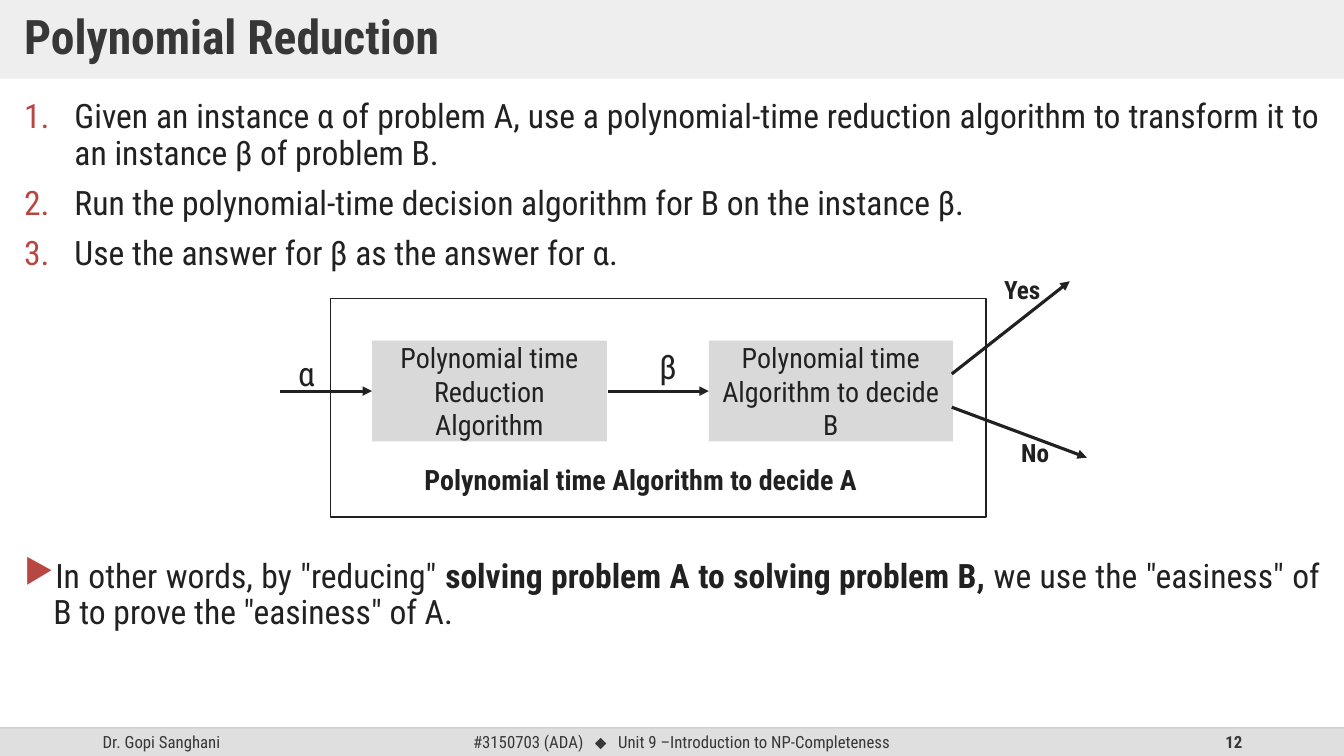
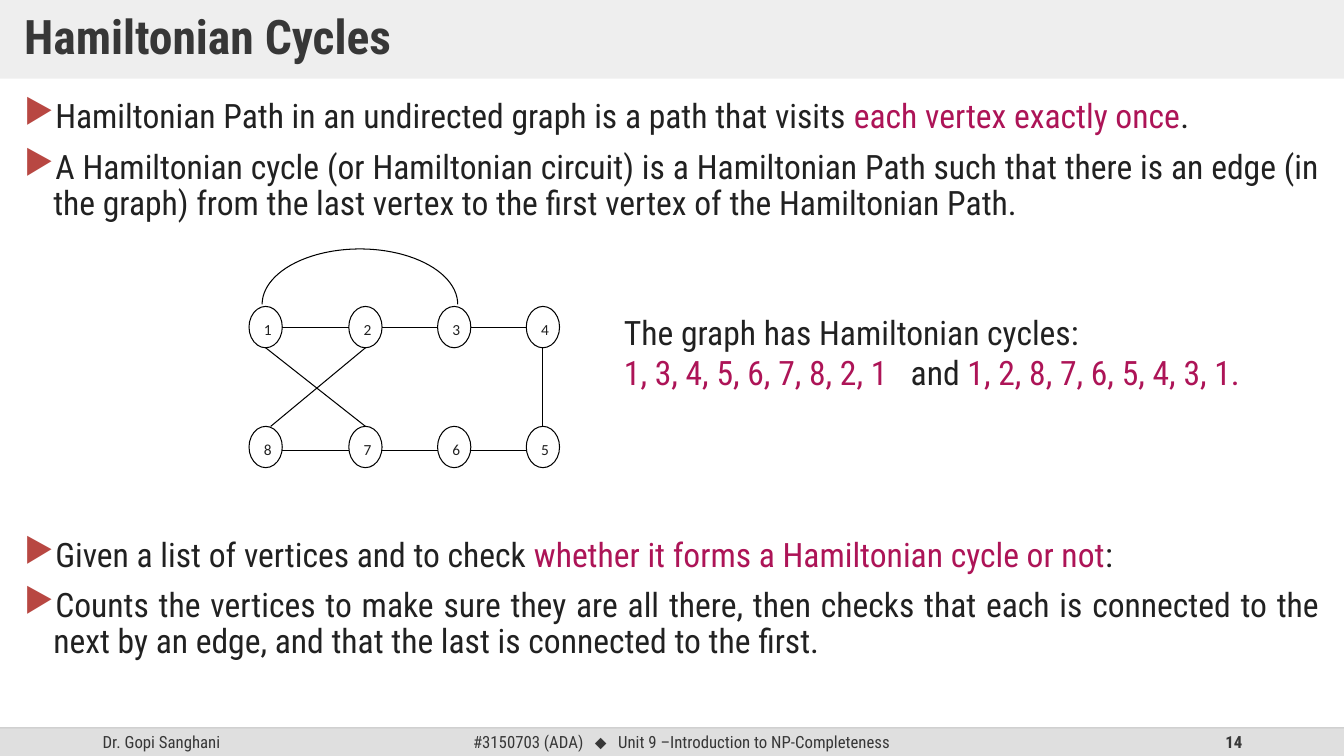
"""Build two lecture slides on polynomial reduction and Hamiltonian cycles."""
from dataclasses import dataclass

from pptx import Presentation
from pptx.dml.color import RGBColor
from pptx.enum import shapes, text
from pptx.oxml import ns, xmlchemy as xml
from pptx.util import Inches, Pt


@dataclass(frozen=True)
class Theme:
    """Colours, fonts and type sizes."""
    font: str = "Roboto Condensed"
    digit: str = "Calibri"
    mark: str = "Arial"
    ink: str = "212121"
    head: str = "373737"
    band: str = "DFDFDF"
    rule: str = "BFBFBF"
    box: str = "D9D9D9"
    white: str = "FFFFFF"
    black: str = "000000"
    red: str = "B84742"
    pink: str = "AD1457"
    title: int = 34
    body: int = 24
    step: int = 20
    tag: int = 18
    foot: int = 12
    node: int = 11


T = Theme()
SHAPE = shapes.MSO_SHAPE
ALIGN = text.PP_ALIGN
ANCHOR = text.MSO_ANCHOR
WIDE, HIGH = 13.33, 7.5
FOOT = 7.22
BODY = (0.14, 13.05)

AUTHOR = "Dr. Gopi Sanghani"
COURSE = [("#3150703 (ADA)",), (" ", "gap"), ("⬥", "mark"), (" ", "gap"),
          ("Unit 9 –Introduction to NP-Completeness",)]

STEPS = [
    [("Given an instance α of problem A, use a polynomial-time reduction "
      "algorithm to transform it to an instance β of problem B.",)],
    [("Run the polynomial-time decision algorithm for B on the instance β.",)],
    [("Use the answer for β as the answer for α.",)],
]
MORAL = [
    [('In other words, by "reducing" ',),
     ("solving problem A to solving problem B, ", "bold"),
     ('we use the "easiness" of B to prove the "easiness" of A.',)],
]
FRAME = (3.28, 2.96, 6.5, 2.17)
BOXES = [
    ("Polynomial time Reduction Algorithm", (3.69, 3.38, 2.33, 1)),
    ("Polynomial time Algorithm to decide B", (7.03, 3.38, 2.42, 1)),
]
ARROWS = [
    (2.78, 3.88, 3.69, 3.88),
    (6.03, 3.88, 7.03, 3.88),
    (9.44, 3.71, 10.61, 2.79),
    (9.44, 4.04, 10.78, 4.54),
]
TAGS = [
    (("α",), T.body, (2.86, 3.45, 0.33, 0.5)),
    (("β",), T.body, (6.44, 3.38, 0.25, 0.5)),
    (("Yes", "bold"), T.tag, (9.86, 2.67, 0.58, 0.4)),
    (("No", "bold"), T.tag, (10.03, 4.29, 0.58, 0.4)),
    (("Polynomial time Algorithm to decide A", "bold"), T.step,
     (4.11, 4.54, 4.79, 0.44)),
]

FACTS = [
    [("Hamiltonian Path in an undirected graph is a path that visits ",),
     ("each vertex exactly once", "hot"), (".",)],
    [("A Hamiltonian cycle (or Hamiltonian circuit) is a Hamiltonian Path "
      "such that there is an edge (in the graph) from the last vertex to the "
      "first vertex of the Hamiltonian Path.",)],
]
CHECKS = [
    [("Given a list of vertices and to check ",),
     ("whether it forms a Hamiltonian cycle or not", "hot"), (":",)],
    [("Counts the vertices to make sure they are all there, then checks that "
      "each is connected to the next by an edge, and that the last is "
      "connected to the first.",)],
]
CYCLES = [
    [("The graph has Hamiltonian cycles:",)],
    [("1, 3, 4, 5, 6, 7, 8, 2, 1", "hot"), (" ", "gap"), ("and ",),
     ("1, 2, 8, 7, 6, 5, 4, 3, 1.", "hot")],
]
COLS = [2.47, 3.46, 4.34, 5.22]
ROWS = [(3.04, 3.25, "1234"), (4.23, 4.47, "8765")]
NODE = (0.33, 0.41)
DROPS = [(3, 3, 0), (0, 1, 0), (1, 0, 0.05)]
ARC = (2.6, 2.47, 1.94, 1.1)


def rgb(tone):
    """Turn a hex string into a colour."""
    return RGBColor.from_string(tone)


def fade(item, share):
    """Set the opacity, in percent, of the first colour of a shape."""
    tone = item.element.find(".//" + ns.qn("a:srgbClr"))
    add(tone, "a:alpha", val=share * 1000)


def add(node, tag, **attrs):
    """Append a child element with attributes."""
    kid = xml.OxmlElement(tag)
    for key, val in attrs.items():
        kid.set(key, str(val))
    node.append(kid)
    return kid


def style(run, size, kind="", tone=T.ink, font=T.font):
    """Format one run by its kind."""
    run.font.size = Pt(size)
    run.font.name = T.mark if kind == "mark" else font
    run.font.color.rgb = rgb(T.pink if kind == "hot" else tone)
    run.font.bold = kind == "bold"
    if kind == "gap":
        run.font.element.set("spc", str(size * 45)) if hasattr(
            run.font, "element") else run._r.get_or_add_rPr().set(
            "spc", str(size * 45))


def write(frame, paras, size, align=ALIGN.LEFT, **look):
    """Fill a text frame with paragraphs of styled runs."""
    frame.word_wrap = True
    for i, parts in enumerate(paras):
        para = frame.add_paragraph() if i else frame.paragraphs[0]
        para.alignment = align
        for words, *kind in parts:
            run = para.add_run()
            run.text = words
            style(run, size, *kind, **look)


def label(slide, at, paras, size, align=ALIGN.LEFT, **look):
    """Add a text box."""
    box = slide.shapes.add_textbox(*map(Inches, at))
    write(box.text_frame, paras, size, align, **look)
    return box


def shape(slide, kind, at, fill=None, line=None, width=1):
    """Add a flat preset shape."""
    item = slide.shapes.add_shape(kind, *map(Inches, at))
    item.shadow.inherit = False
    if fill:
        item.fill.solid()
        item.fill.fore_color.rgb = rgb(fill)
    else:
        item.fill.background()
    if line:
        item.line.color.rgb = rgb(line)
        item.line.width = Pt(width)
    else:
        item.line.fill.background()
    return item


def link(slide, ends, tone, width, arrow=False):
    """Add a straight line, with an arrowhead if asked."""
    item = slide.shapes.add_connector(
        shapes.MSO_CONNECTOR.STRAIGHT, *map(Inches, ends))
    item.line.color.rgb = rgb(tone)
    item.line.width = Pt(width)
    if arrow:
        add(item.line.fill and item.element.spPr.find(ns.qn("a:ln")),
            "a:tailEnd", type="triangle")
    add(item.element.spPr, "a:effectLst")
    return item


def points(slide, top, high, paras, count=False):
    """Add a numbered or bulleted block of body text."""
    left, wide = BODY
    box = label(slide, (left, top, wide, high), paras, T.body, ALIGN.JUSTIFY)
    dent = Inches(0.5 if count else 0.29)
    for para in box.text_frame.paragraphs:
        para.line_spacing = 0.9
        para.space_before = Pt(10)
        prop = para._p.get_or_add_pPr()
        prop.set("marL", str(dent))
        prop.set("indent", str(-dent))
        add(add(prop, "a:buClr"), "a:srgbClr", val=T.red)
        if count:
            add(prop, "a:buAutoNum", type="arabicPeriod")
        else:
            add(prop, "a:buChar", char="▶")


def start(deck, name, page):
    """Add a slide with its title band and footer."""
    slide = deck.slides.add_slide(deck.slide_layouts[5])
    head = slide.shapes.title
    head.left, head.top, head.width, head.height = map(
        Inches, (0, 0, WIDE, 0.78))
    head.fill.solid()
    head.fill.fore_color.rgb = rgb(T.band)
    fade(head, 50)
    frame = head.text_frame
    write(frame, [[(name, "bold")]], T.title, tone=T.head)
    frame.paragraphs[0].line_spacing = 0.9
    frame.auto_size = text.MSO_AUTO_SIZE.NONE
    frame.vertical_anchor = ANCHOR.MIDDLE
    frame.margin_left = frame.margin_right = Inches(0.24)
    frame.margin_top = frame.margin_bottom = Inches(0.12)

    high = HIGH - FOOT
    shape(slide, SHAPE.RECTANGLE, (0, FOOT, WIDE, high), T.band)
    for left, wide, parts, align in [
            (0.92, 3, [(AUTHOR,)], ALIGN.LEFT),
            (4.42, 4.68, COURSE, ALIGN.CENTER),
            (9.42, 3, [(str(page), "bold")], ALIGN.RIGHT)]:
        box = label(slide, (left, FOOT, wide, high), [parts], T.foot, align,
                    tone=T.head)
        box.text_frame.vertical_anchor = ANCHOR.MIDDLE
    fade(link(slide, (0, FOOT, WIDE, FOOT), T.rule, 1), 70)
    return slide


def reduce(deck):
    """Build the slide on polynomial reduction."""
    slide = start(deck, "Polynomial Reduction", 12)
    points(slide, 0.94, 1.9, STEPS, count=True)
    points(slide, 5.5, 1, MORAL)
    shape(slide, SHAPE.RECTANGLE, FRAME, line=T.ink)
    for words, at in BOXES:
        box = shape(slide, SHAPE.RECTANGLE, at, T.box)
        write(box.text_frame, [[(words,)]], T.step, ALIGN.CENTER)
    for ends in ARROWS:
        link(slide, ends, T.ink, 2.25, arrow=True)
    for part, size, at in TAGS:
        label(slide, at, [[part]], size)


def cycle(deck):
    """Build the slide on Hamiltonian cycles."""
    slide = start(deck, "Hamiltonian Cycles", 14)
    points(slide, 0.94, 1.4, FACTS)
    points(slide, 5.29, 1.5, CHECKS)
    wide, high = NODE
    for top, mid, names in ROWS:
        for left, name in zip(COLS, names):
            node = shape(slide, SHAPE.OVAL, (left, top, wide, high),
                         T.white, T.black, 0.75)
            write(node.text_frame, [[(name,)]], T.node, font=T.digit)
            node.text_frame.vertical_anchor = ANCHOR.TOP
            node.text_frame.paragraphs[0].line_spacing = 1.15
        for left, right in zip(COLS, COLS[1:]):
            link(slide, (left + wide, mid, right, mid), T.black, 0.75)
    upper, lower = ROWS[0][0] + high, ROWS[1][0]
    for src, dst, shift in DROPS:
        link(slide, (COLS[src] + wide / 2, upper,
                     COLS[dst] + wide / 2 + shift, lower), T.black, 0.75)
    arc = shape(slide, SHAPE.ARC, ARC, line=T.black, width=0.75)
    arc.adjustments[0], arc.adjustments[1] = 108, 0
    label(slide, (6.09, 3.04, 6.6, 0.91), CYCLES, T.body)


def main():
    """Build and save the deck."""
    deck = Presentation()
    deck.slide_width, deck.slide_height = Inches(WIDE), Inches(HIGH)
    reduce(deck)
    cycle(deck)
    deck.save("out.pptx")


if __name__ == "__main__":
    main()
